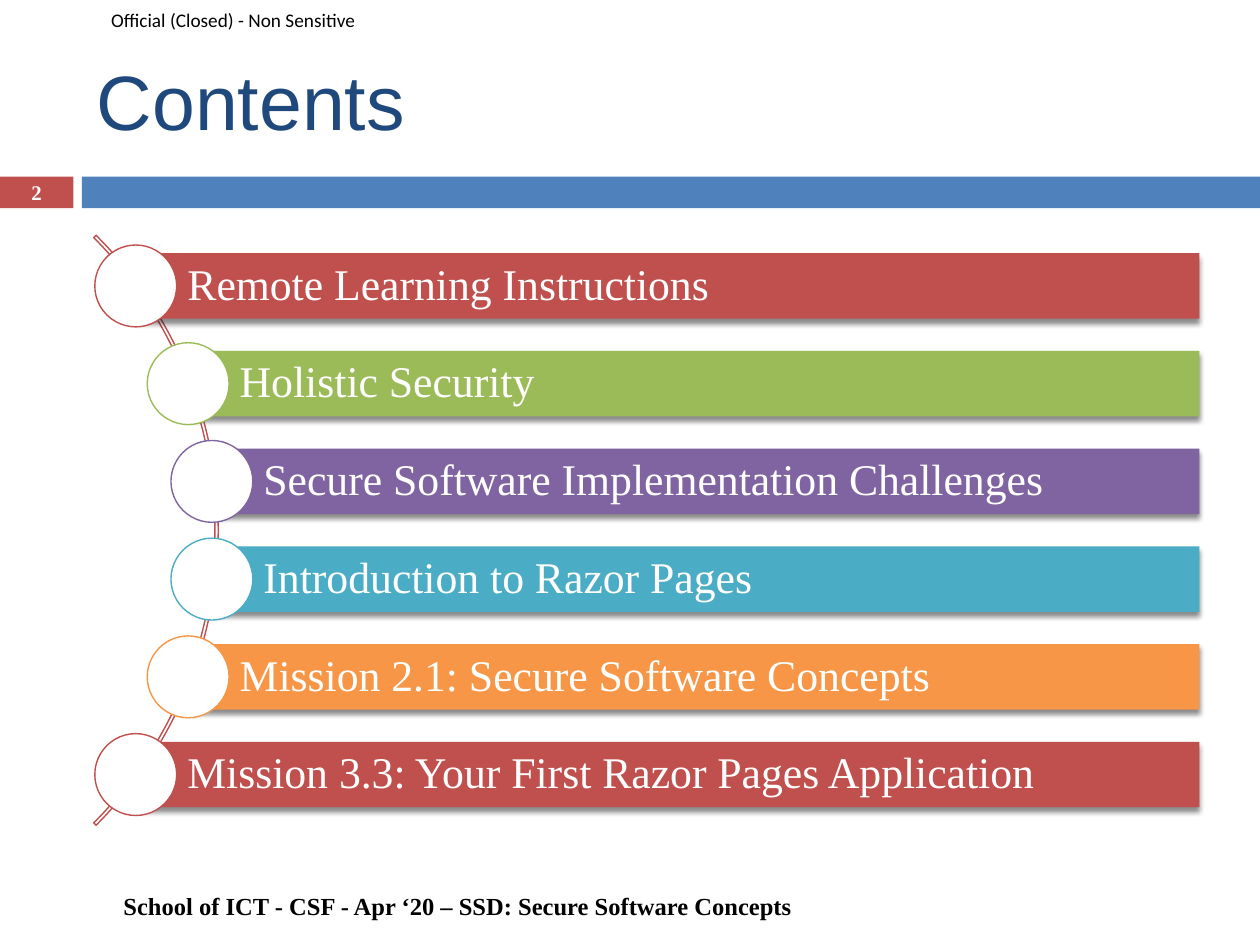
from math import sqrt

from lxml import etree
from pptx import Presentation, util as u
from pptx.dml.color import RGBColor
from pptx.enum import shapes, text
from pptx.oxml.ns import qn

RED, BLUE, NAVY, WHITE, BLACK = "C0504D", "4F81BD", "1F497D", "FFFFFF", "000000"
GREEN, PURPLE, TEAL, ORANGE = "9BBB59", "8064A2", "4BACC6", "F79646"
SERIF = "Times New Roman"
LEFT, CENTER = text.PP_ALIGN.LEFT, text.PP_ALIGN.CENTER

TOPICS = [
    ("Remote Learning Instructions", RED),
    ("Holistic Security", GREEN),
    ("Secure Software Implementation Challenges", PURPLE),
    ("Introduction to Razor Pages", TEAL),
    ("Mission 2.1: Secure Software Concepts", ORANGE),
    ("Mission 3.3: Your First Razor Pages Application", RED),
]


def color(hex_string):
    return RGBColor.from_string(hex_string)


def write(shape, words, size=14, font=SERIF, ink=BLACK, bold=False,
          align=LEFT, spacing=1.0, margins=(0.25, 0.13, 0.25, 0.13)):
    """Put one formatted paragraph into a shape, centred vertically."""
    frame = shape.text_frame
    frame.word_wrap = True
    frame.vertical_anchor = text.MSO_ANCHOR.MIDDLE
    (frame.margin_left, frame.margin_top,
     frame.margin_right, frame.margin_bottom) = map(u.Cm, margins)
    paragraph = frame.paragraphs[0]
    paragraph.alignment = align
    paragraph.line_spacing = spacing
    run = paragraph.add_run()
    run.text = words
    run.font.size = u.Pt(size)
    run.font.name = font
    run.font.bold = bold
    run.font.color.rgb = color(ink)


class Page:
    """The current slide and the style of its elements."""
    outline = 0.79

    def __init__(self, presentation):
        self.slide = presentation.slides.add_slide(presentation.slide_layouts[6])

    def text(self, words, left, top, width, height, **style):
        box = self.slide.shapes.add_textbox(*map(u.Cm, (left, top, width, height)))
        write(box, words, **style)

    def shape(self, kind, left, top, width, height, fill=None, line=None):
        shape = self.slide.shapes.add_shape(
            kind, *map(u.Cm, (left, top, width, height)))
        shape.shadow.inherit = False
        if fill:
            shape.fill.solid()
            shape.fill.fore_color.rgb = color(fill)
        else:
            shape.fill.background()
        if line:
            shape.line.color.rgb = color(line)
            shape.line.width = u.Pt(self.outline)
        else:
            shape.line.fill.background()
        return shape

    def bar(self, *place, fill):
        return self.shape(shapes.MSO_SHAPE.RECTANGLE, *place, fill=fill)

    def shadow_bar(self, *place, fill):
        bar = self.bar(*place, fill=fill)
        effects = bar.element.spPr.find(qn("a:effectLst"))
        shadow = etree.SubElement(
            effects, qn("a:outerShdw"), blurRad=str(u.Pt(3)),
            dist=str(u.Pt(2.4)), dir="5400000", rotWithShape="0")
        shade = etree.SubElement(shadow, qn("a:srgbClr"), val=BLACK)
        etree.SubElement(shade, qn("a:alpha"), val="45000")
        return bar

    def circle(self, x, y, diameter, line):
        self.shape(shapes.MSO_SHAPE.OVAL, x - diameter / 2, y - diameter / 2,
                   diameter, diameter, fill=WHITE, line=line)

    def arc(self, x, y, radius, line):
        arc = self.shape(shapes.MSO_SHAPE.BLOCK_ARC, x - radius, y - radius,
                         2 * radius, 2 * radius, line=line)
        for index, value in enumerate((189, 27, 0.004)):
            arc.adjustments[index] = value

    def topics(self, topics):
        """Bars whose left ends follow an arc, each with a circle on its end."""
        radius, middle_y, pitch = 8.41, 10.69, 1.97
        right, height, diameter = 24.18, 1.32, 1.65
        self.arc(-4.01, middle_y, radius, RED)
        for index, (words, fill) in enumerate(topics):
            offset = (index - (len(topics) - 1) / 2) * pitch
            x = sqrt(radius ** 2 - offset ** 2) - 4.08
            y = middle_y + offset
            bar = self.shadow_bar(x, y - height / 2, right - x, height, fill=fill)
            write(bar, words, size=25, ink=WHITE, spacing=0.9,
                  margins=(1.04, 0.17, 0.17, 0.17))
            self.circle(x, y, diameter, fill)


def main():
    presentation = Presentation()
    presentation.slide_width = u.Cm(25.4)
    presentation.slide_height = u.Cm(19.05)
    page = Page(presentation)

    # Header band
    page.bar(0, 3.56, 1.48, 0.64, fill=RED)
    page.bar(1.65, 3.56, 23.75, 0.64, fill=BLUE)
    page.text("Official (Closed) - Non Sensitive", 0, 0, 7.65, 0.79,
              size=11, font="Calibri", margins=(2.24, 0, 0, 0))
    page.text("Contents", 1.7, 0.64, 22.66, 2.74, size=44, font="Arial", ink=NAVY)
    page.text("2", 0, 3.53, 1.48, 0.69, size=11.9, ink=WHITE, bold=True, align=CENTER)

    # Topic list
    page.topics(TOPICS)

    # Footer
    page.text("School of ICT - CSF - Apr ‘20 – SSD: Secure Software Concepts",
              1.7, 17.75, 15.06, 1.02, bold=True, align=CENTER)

    presentation.save("out.pptx")


if __name__ == "__main__":
    main()
